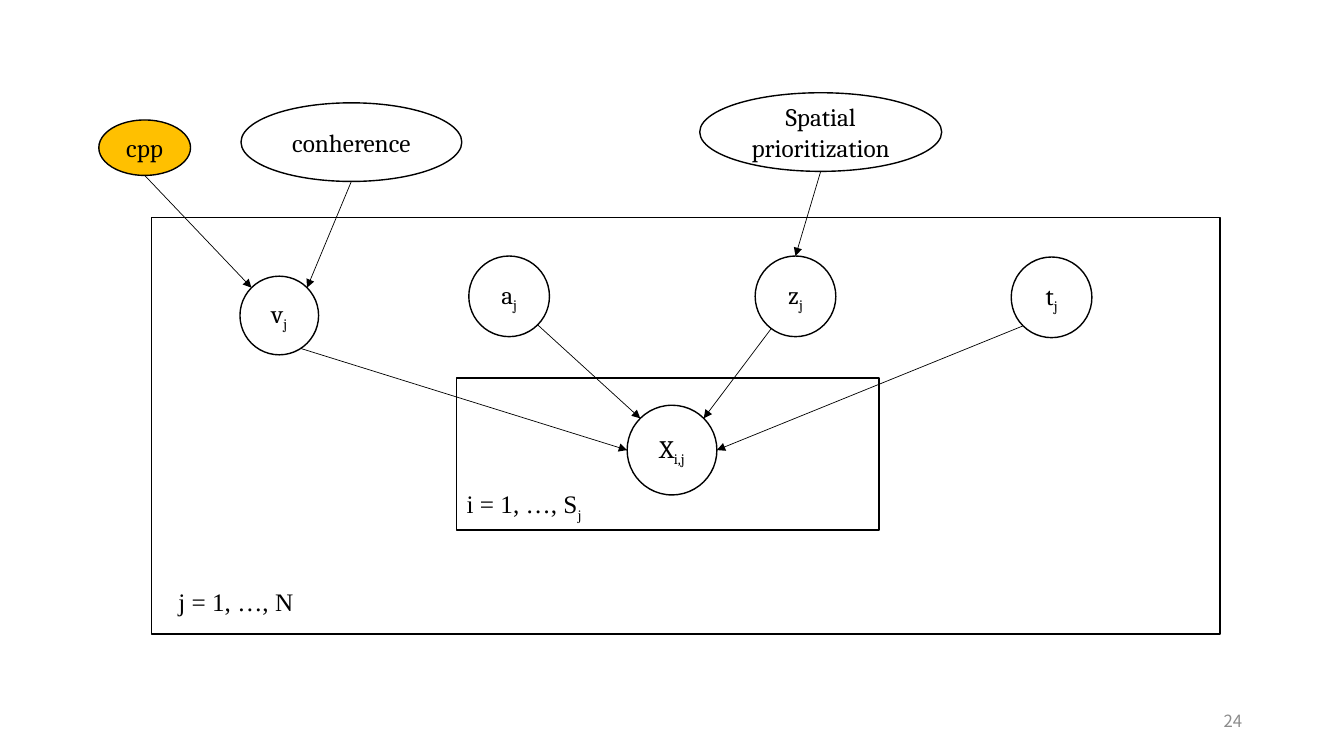
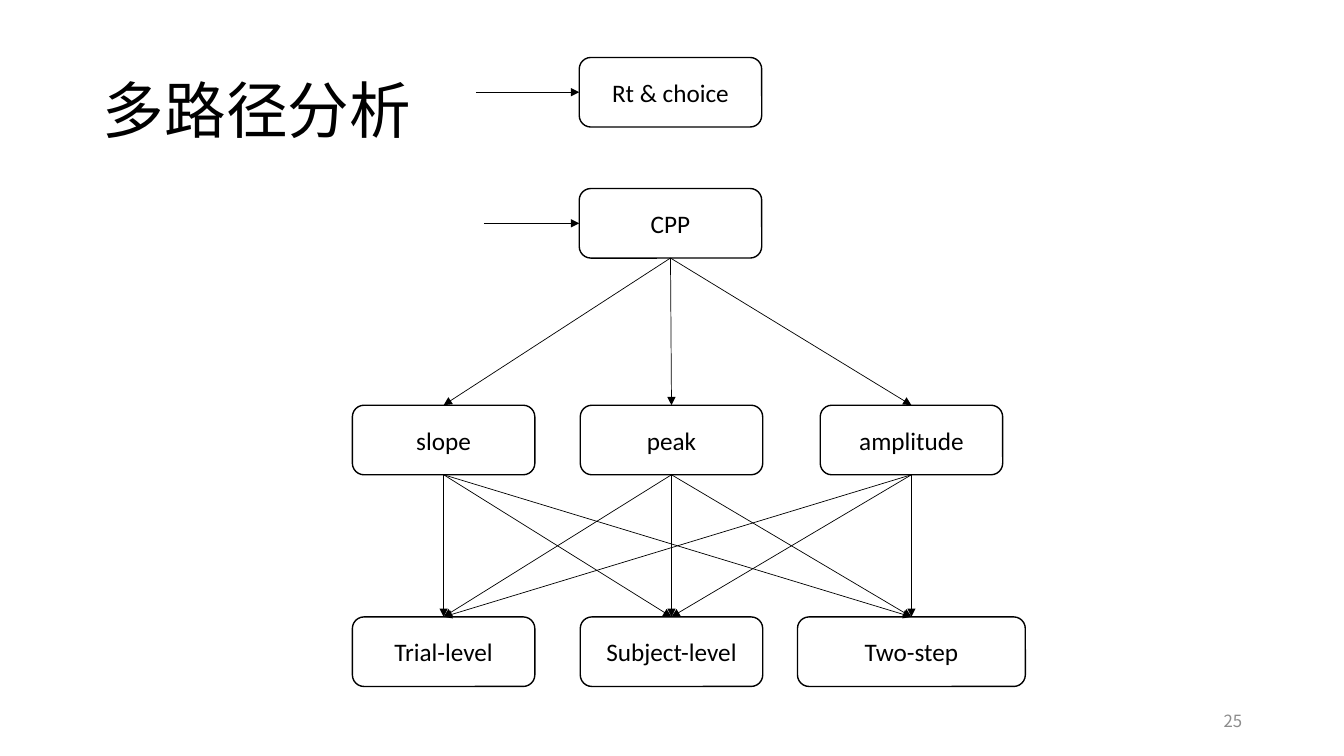
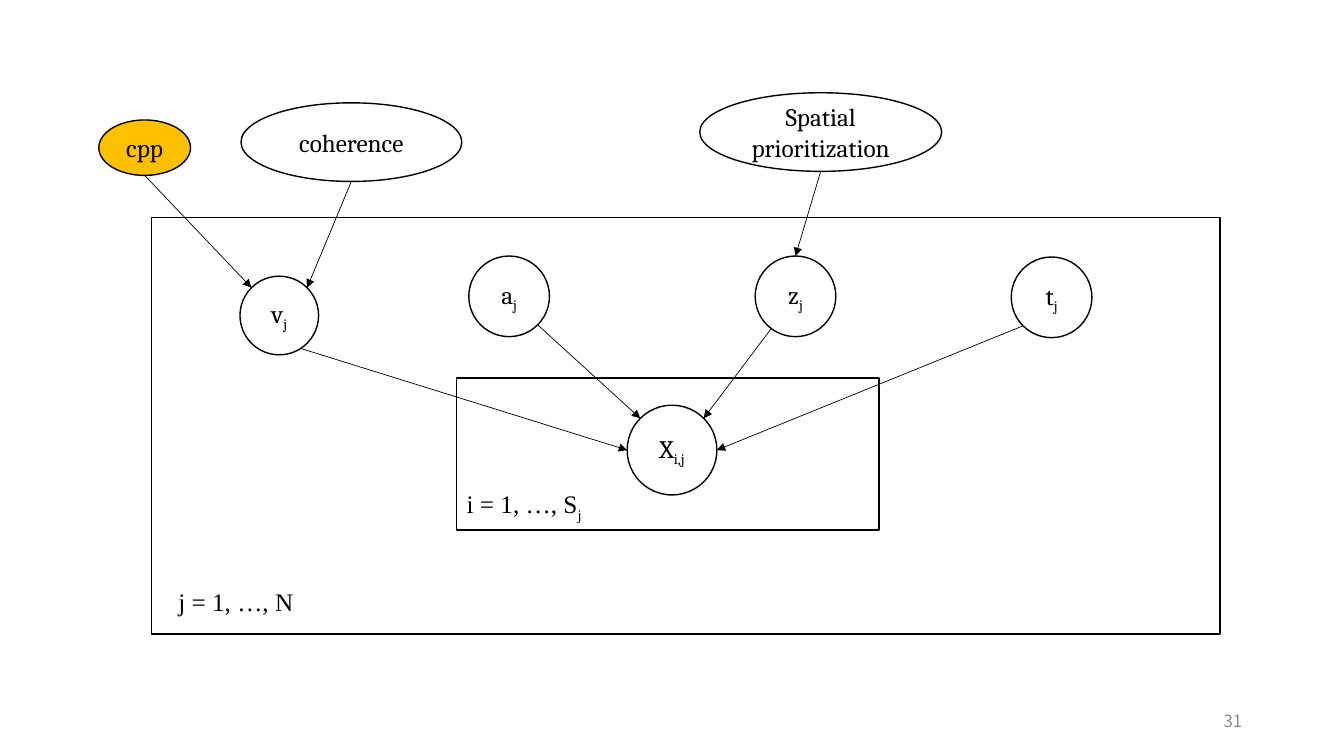
from itertools import product
from math import cos, radians, sin

from lxml import etree
from pptx import Presentation
from pptx.dml.color import RGBColor
from pptx.enum.shapes import MSO_CONNECTOR, MSO_SHAPE
from pptx.enum.text import MSO_ANCHOR, PP_ALIGN
from pptx.oxml.ns import qn
from pptx.util import Inches, Pt

COLORS = {"ink": "000000", "paper": "FFFFFF", "highlight": "FFC000", "number": "8C8C8C"}
MODEL_FONT, PLATE_FONT, PATH_FONT, CJK_FONT = (
    "Cambria", "Times New Roman", "Calibri", "Noto Sans CJK SC")
TITLE_ONLY, BLANK = 5, 6
TOP, LEFT, BOTTOM = 0, 1, 2

# Model slides: page number and wording of the first predictor
MODEL_SLIDES = {"first": (24, "conherence"), "second": (31, "coherence")}
PLATES = [(1.5, 2.16, 10.6, 4.13), (4.53, 3.75, 4.19, 1.51)]
PLATE_LABELS = [  # text, subscript, left, top
    ("i = 1, …, S", "j", 4.53, 4.8),
    ("j = 1, …, N", "", 1.67, 5.77),
]
PARAMETERS = {  # name: (subscript, left, top, diameter)
    "X": ("i,j", 6.22, 4.02, 0.89),
    "a": ("j", 4.65, 2.54, 0.8),
    "z": ("j", 7.49, 2.54, 0.8),
    "t": ("j", 10.03, 2.55, 0.8),
    "v": ("j", 2.38, 2.74, 0.78),
}
PREDICTORS = {  # name: (left, top, width, height, fill)
    "cpp": (0.98, 1.19, 0.91, 0.55, "highlight"),
    "coherence": (2.39, 1.02, 2.19, 0.78, "paper"),
    "Spatial prioritization": (6.94, 0.92, 2.4, 0.78, "paper"),
}
MODEL_ARROWS = [  # from, angle on its edge, to, angle; clockwise from the right
    ("v", 57, "X", 180),
    ("a", 45, "X", 225),
    ("z", 127, "X", 315),
    ("t", 135, "X", 0),
    ("cpp", 90, "v", 225),
    ("coherence", 90, "v", 315),
    ("Spatial prioritization", 90, "z", 270),
]

# Path slide
PATH_NUMBER, PATH_TITLE = 25, "多路径分析"
BOX_WIDTH, WIDE_BOX, BOX_HEIGHT = 1.81, 2.26, 0.69
COLUMNS = (4.4, 6.66, 9.04)
OUTCOMES = [("Rt & choice", 0.57, 4.72), ("CPP", 1.87, 4.8)]  # text, top, arrow start
MEASURES = (4.02, ("slope", "peak", "amplitude"))
LEVELS = (6.12, ("Trial-level", "Subject-level", "Two-step"))


def rgb(name):
    return RGBColor.from_string(COLORS[name])


def style_font(run, size, font, color="ink"):
    run.font.size = Pt(size)
    run.font.name = font
    run.font.color.rgb = rgb(color)
    if font == CJK_FONT:
        etree.SubElement(run.font._element, qn("a:ea"), typeface=font)


def write(shape, text, font, subscript="", size=18, color="ink", align=PP_ALIGN.CENTER):
    paragraph = shape.text_frame.paragraphs[0]
    paragraph.alignment = align
    for part, baseline in ((text, None), (subscript, "-25000")):
        if part:
            run = paragraph.add_run()
            run.text = part
            style_font(run, size, font, color)
            if baseline:
                run.font._element.set("baseline", baseline)


def add_outlined(slide, kind, box, fill="paper"):
    shape = slide.shapes.add_shape(kind, *map(Inches, box))
    shape.shadow.inherit = False
    shape.fill.solid()
    shape.fill.fore_color.rgb = rgb(fill)
    shape.line.color.rgb = rgb("ink")
    shape.line.width = Pt(1)
    shape.text_frame.vertical_anchor = MSO_ANCHOR.MIDDLE
    return shape


def add_text(slide, box, *content, **style):
    shape = slide.shapes.add_textbox(*map(Inches, box))
    shape.text_frame.word_wrap = True
    write(shape, *content, **style)
    return shape


def add_arrow(slide, start=(0, 0), end=(0, 0)):
    arrow = slide.shapes.add_connector(MSO_CONNECTOR.STRAIGHT, *start, *end)
    arrow.line.color.rgb = rgb("ink")
    arrow.line.width = Pt(0.5)
    etree.SubElement(arrow.line._get_or_add_ln(), qn("a:tailEnd"), type="triangle")
    etree.SubElement(arrow._element.spPr, qn("a:effectLst"))
    return arrow


def add_slide(presentation, layout, number):
    slide = presentation.slides.add_slide(presentation.slide_layouts[layout])
    shape = add_text(slide, (9.42, 6.95, 3, 0.4), str(number), CJK_FONT,
                     size=12, color="number", align=PP_ALIGN.RIGHT)
    shape.text_frame.vertical_anchor = MSO_ANCHOR.MIDDLE
    return slide


def edge_point(ellipse, angle):
    x_radius, y_radius = ellipse.width / 2, ellipse.height / 2
    return (round(ellipse.left + x_radius * (1 + cos(radians(angle)))),
            round(ellipse.top + y_radius * (1 + sin(radians(angle)))))


def build_model_slide(presentation, number, coherence_text):
    slide = add_slide(presentation, BLANK, number)
    for plate in PLATES:
        add_outlined(slide, MSO_SHAPE.RECTANGLE, plate)
    nodes = {}
    for name, (subscript, left, top, diameter) in PARAMETERS.items():
        nodes[name] = add_outlined(slide, MSO_SHAPE.OVAL, (left, top, diameter, diameter))
        write(nodes[name], name, MODEL_FONT, subscript)
    for name, (*box, fill) in PREDICTORS.items():
        nodes[name] = add_outlined(slide, MSO_SHAPE.OVAL, box, fill)
        write(nodes[name], coherence_text if name == "coherence" else name, MODEL_FONT)
    for text, subscript, left, top in PLATE_LABELS:
        add_text(slide, (left, top, 1.59, 0.4), text, PLATE_FONT, subscript,
                 align=PP_ALIGN.LEFT)
    for source, source_angle, target, target_angle in MODEL_ARROWS:
        add_arrow(slide, edge_point(nodes[source], source_angle),
                  edge_point(nodes[target], target_angle))


def add_path_box(slide, text, center, top):
    width = WIDE_BOX if text == "Two-step" else BOX_WIDTH
    box = add_outlined(slide, MSO_SHAPE.ROUNDED_RECTANGLE,
                       (center - width / 2, top, width, BOX_HEIGHT))
    write(box, text, PATH_FONT)
    return box


def add_path_row(slide, top, texts):
    return [add_path_box(slide, text, center, top) for text, center in zip(texts, COLUMNS)]


def join_rows(slide, upper, lower):
    for source, target in product(upper, lower):
        arrow = add_arrow(slide)
        arrow.begin_connect(source, BOTTOM)
        arrow.end_connect(target, TOP)


def build_path_slide(presentation):
    slide = add_slide(presentation, TITLE_ONLY, PATH_NUMBER)
    title = slide.shapes.title
    title.left, title.top, title.width, title.height = map(Inches, (0.92, 0.4, 11.5, 1.45))
    title.text_frame.vertical_anchor = MSO_ANCHOR.MIDDLE
    write(title, PATH_TITLE, CJK_FONT, size=44, align=PP_ALIGN.LEFT)
    title.text_frame.paragraphs[0].line_spacing = 0.9

    for text, top, arrow_start in OUTCOMES:
        outcome = add_path_box(slide, text, 6.65, top)
        middle = Inches(top + BOX_HEIGHT / 2)
        arrow = add_arrow(slide, (Inches(arrow_start), middle), (outcome.left, middle))
        arrow.end_connect(outcome, LEFT)
    measures = add_path_row(slide, *MEASURES)
    levels = add_path_row(slide, *LEVELS)
    join_rows(slide, [outcome], measures)
    join_rows(slide, measures, levels)


def main():
    presentation = Presentation()
    presentation.slide_width, presentation.slide_height = Inches(13.33), Inches(7.5)
    build_model_slide(presentation, *MODEL_SLIDES["first"])
    build_path_slide(presentation)
    build_model_slide(presentation, *MODEL_SLIDES["second"])
    presentation.save("out.pptx")


if __name__ == "__main__":
    main()
